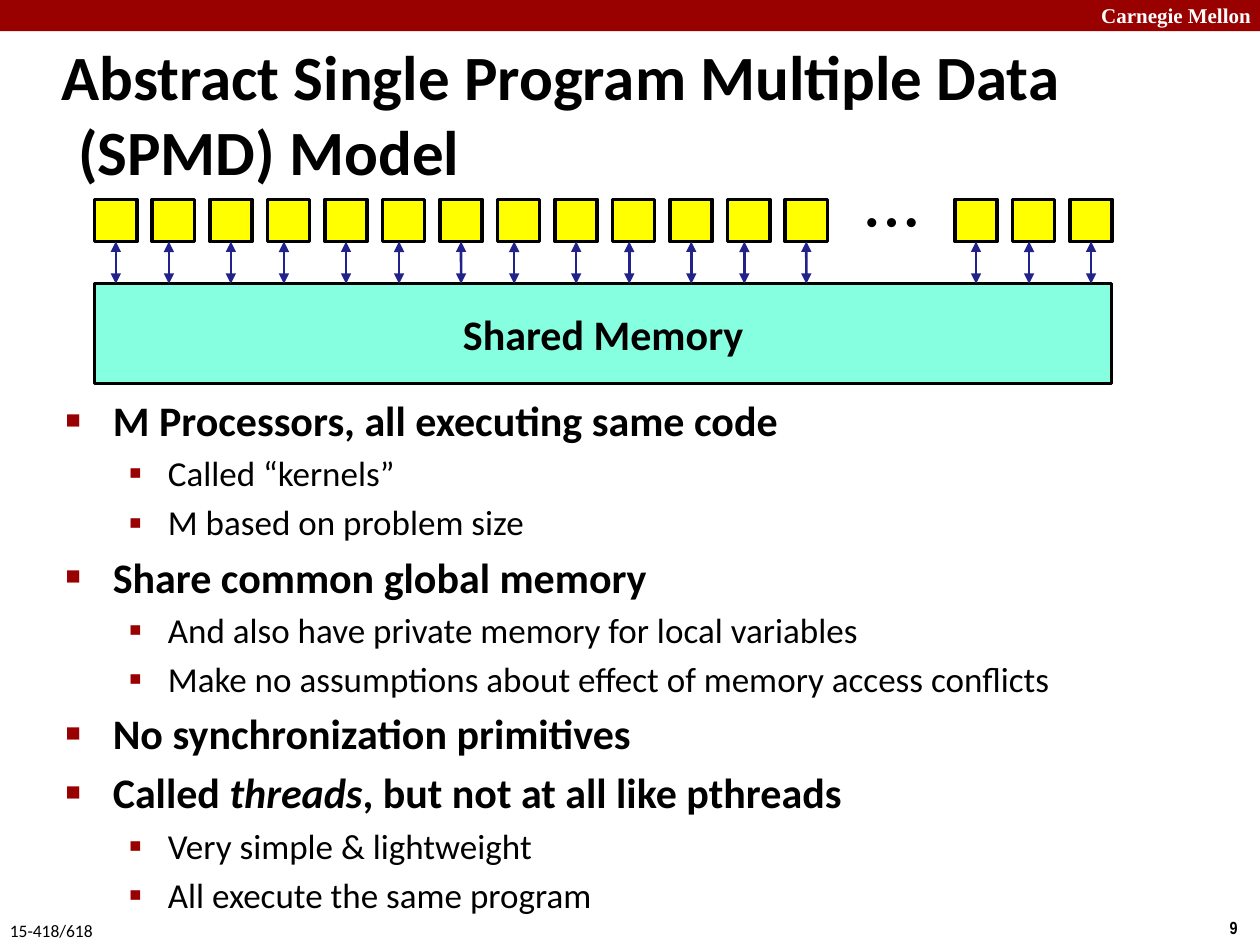
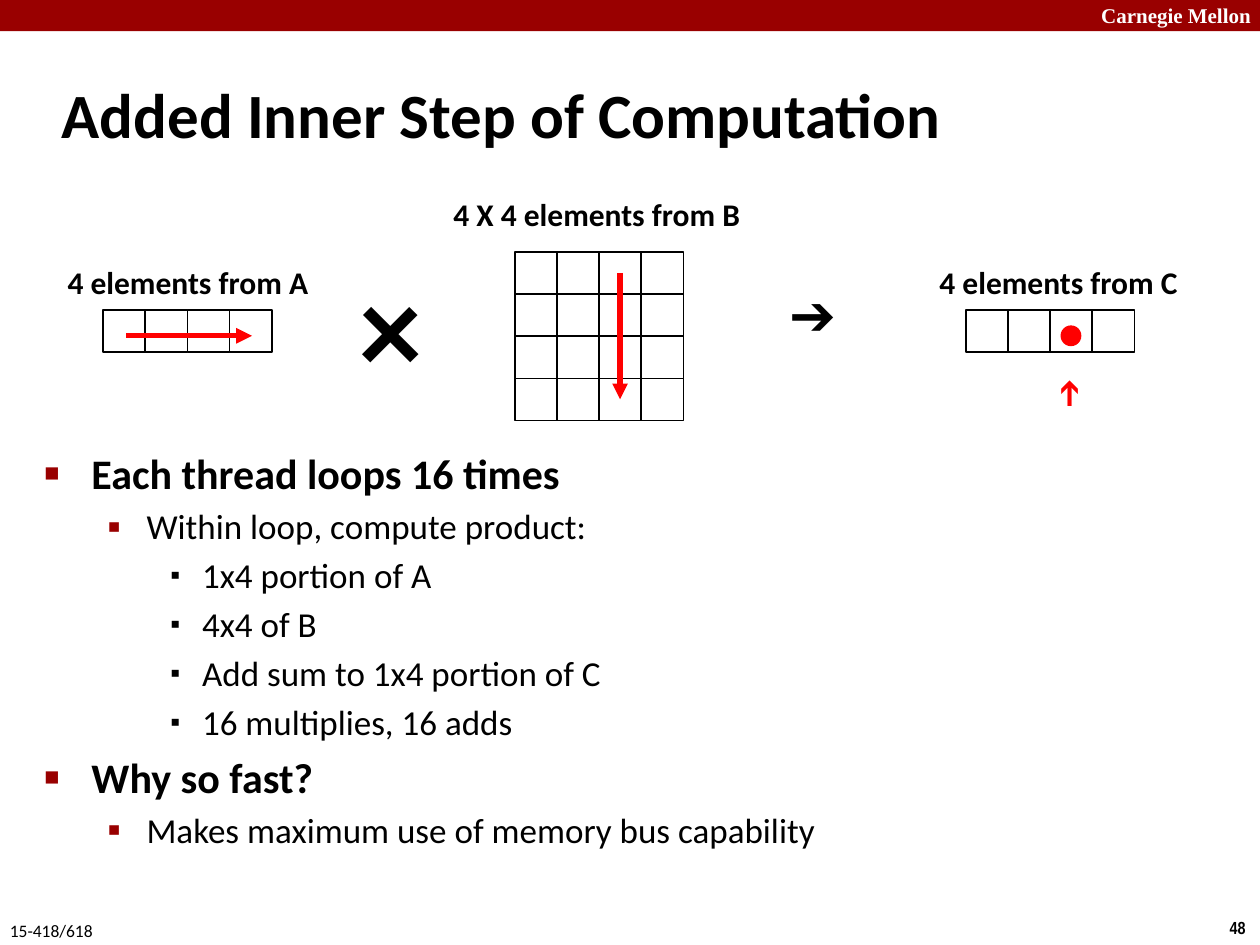
from lxml import etree
from pptx import Presentation
from pptx.dml.color import RGBColor
from pptx.enum.shapes import MSO_CONNECTOR, MSO_SHAPE
from pptx.enum.text import MSO_ANCHOR, MSO_AUTO_SIZE, PP_ALIGN
from pptx.oxml.ns import qn
from pptx.util import Cm, Pt

RED = RGBColor(0x99, 0x00, 0x00)
BRIGHT = RGBColor(0xFF, 0x00, 0x00)
BLACK = RGBColor(0x00, 0x00, 0x00)
WHITE = RGBColor(0xFF, 0xFF, 0xFF)
YELLOW = RGBColor(0xFF, 0xFF, 0x00)
MINT = RGBColor(0x85, 0xFF, 0xE0)
NAVY = RGBColor(0x22, 0x22, 0x8B)
RECT = MSO_SHAPE.RECTANGLE
OVAL = MSO_SHAPE.OVAL
LINE = MSO_CONNECTOR.STRAIGHT
LEFT = PP_ALIGN.LEFT
MID = PP_ALIGN.CENTER
TOP = MSO_ANCHOR.TOP
CORE = MSO_ANCHOR.MIDDLE
FIXED = MSO_AUTO_SIZE.NONE
SANS = "Calibri"

LEVELS = [
    (0.95, -0.95, "■", 60, RED, 24, True),
    (2.06, -0.79, "▪", 110, RED, 20, False),
    (3.18, -0.64, "▪", 80, BLACK, 20, False),
]

PAGES = [
    ("Abstract Single Program Multiple Data (SPMD) Model", "9",
     (1.07, 7.82, 21.95, 9.35), [
         (0, "M Processors, all executing same code"),
         (1, "Called “kernels”"),
         (1, "M based on problem size"),
         (0, "Share common global memory"),
         (1, "And also have private memory for local variables"),
         (1, "Make no assumptions about effect of memory access conflicts"),
         (0, "No synchronization primitives"),
         (0, "Called *threads*, but not at all like pthreads"),
         (1, "Very simple & lightweight"),
         (1, "All execute the same program"),
     ]),
    ("Added Inner Step of Computation", "48",
     (0.64, 8.89, 23.93, 8.71), [
         (0, "Each thread loops 16 times"),
         (1, "Within loop, compute product:"),
         (2, "1x4 portion of A"),
         (2, "4x4 of B"),
         (2, "Add sum to 1x4 portion of C"),
         (2, "16 multiplies, 16 adds"),
         (0, "Why so fast?"),
         (1, "Makes maximum use of memory bus capability"),
     ]),
]


def draw(page, kind, x, y, w, h, fill, edge=None):
    shape = page.shapes.add_shape(kind, Cm(x), Cm(y), Cm(w), Cm(h))
    shape.shadow.inherit = False
    shape.fill.solid()
    shape.fill.fore_color.rgb = fill
    if edge:
        shape.line.color.rgb = BLACK
        shape.line.width = Pt(edge)
    else:
        shape.line.fill.background()
    return shape


def write(shape, text, size, face=SANS, tint=BLACK, bold=True, align=LEFT, anchor=TOP):
    frame = shape.text_frame
    frame.text = text
    frame.auto_size = FIXED
    frame.vertical_anchor = anchor
    par = frame.paragraphs[0]
    par.alignment = align
    font = par.runs[0].font
    font.size, font.name, font.bold = Pt(size), face, bold
    font.color.rgb = tint
    return par


deck = Presentation()
deck.slide_width = Cm(25.4)
deck.slide_height = Cm(19.05)

slides = []
notes = []
for title, number, area, items in PAGES:
    page = deck.slides.add_slide(deck.slide_layouts[1])
    slides.append(page)
    draw(page, RECT, 0, 0, 25.4, 0.63, RED)
    notes += [
        (page, "Carnegie Mellon", 21.95, -0.08, 3.63, 0.76, 12, "Times New Roman", WHITE, True),
        (page, number, 24.54, 18.36, 0.86, 0.69, 10, "Arial Narrow", BLACK, True),
        (page, "15-418/618", -0.05, 18.42, 2.21, 0.69, 10, SANS, BLACK, False),
    ]

    head = page.shapes.title
    head.left, head.top, head.width, head.height = Cm(0.99), Cm(1.22), Cm(21.08), Cm(2.11)
    par = write(head, title, 36, anchor=CORE)
    prop = par._p.get_or_add_pPr()
    prop.set("marL", str(Cm(0.33)))
    prop.set("indent", str(Cm(-0.33)))

    body = page.placeholders[1]
    body.left, body.top, body.width, body.height = [Cm(v) for v in area]
    frame = body.text_frame
    frame.auto_size = FIXED
    for n, (level, text) in enumerate(items):
        par = frame.add_paragraph() if n else frame.paragraphs[0]
        par.level = level
        if n == 0:
            par.space_before = Pt(0)
        margin, indent, mark, scale, tint, size, bold = LEVELS[level]
        prop = par._p.get_or_add_pPr()
        prop.set("marL", str(Cm(margin)))
        prop.set("indent", str(Cm(indent)))
        color = etree.SubElement(prop, qn("a:buClr"))
        etree.SubElement(color, qn("a:srgbClr")).set("val", str(tint))
        etree.SubElement(prop, qn("a:buSzPct")).set("val", str(scale * 1000))
        etree.SubElement(prop, qn("a:buFont")).set("typeface", "Arial")
        etree.SubElement(prop, qn("a:buChar")).set("char", mark)
        for k, part in enumerate(text.split("*")):
            run = par.add_run()
            run.text = part
            run.font.size, run.font.name, run.font.bold = Pt(size), SANS, bold
            run.font.italic = k % 2 == 1
            run.font.color.rgb = BLACK

model, step = slides
SIDE = 0.85
PITCH = 1.16
arrows = []
for start, count in [(1.91, 13), (19.25, 3)]:
    for n in range(count):
        x = start + n * PITCH
        cell = draw(model, RECT, x, 4.02, SIDE, SIDE, YELLOW, 2)
        mid = x + SIDE / 2
        if n % 2:
            arrows.append((model, mid - 0.09, 4.87, mid - 0.09, 5.72, NAVY, 1.5, True, None))
        else:
            arrows.append((model, mid, 4.87, mid, 5.72, NAVY, 1.5, True, cell))
store = draw(model, RECT, 1.91, 5.72, 20.5, 2.01, MINT, 2)
write(store, "Shared Memory", 24, align=MID, anchor=CORE)

for left, top, rows in [(2.08, 6.25, 1), (10.38, 5.08, 4), (19.47, 6.25, 1)]:
    for row in range(rows):
        for col in range(4):
            draw(step, RECT, left + col * SIDE, top + row * SIDE, SIDE, SIDE, WHITE, 1)
draw(step, OVAL, 21.38, 6.56, 0.42, 0.42, BRIGHT)
arrows += [
    (step, 2.54, 6.77, 5.08, 6.77, BRIGHT, 3, False, None),
    (step, 12.5, 5.5, 12.5, 8.05, BRIGHT, 3, False, None),
]

notes += [
    (model, "• • •", 16.69, 4.02, 2.57, 0.85, 18, "Arial", BLACK, True, MID, CORE),
    (step, "4 elements from A", 1.07, 5.18, 5.44, 1.02, 18, SANS, BLACK, True, MID),
    (step, "4 X 4 elements from B", 8.89, 3.81, 6.38, 1.02, 18),
    (step, "4 elements from C", 18.62, 5.18, 5.44, 1.02, 18, SANS, BLACK, True, MID),
    (step, "×", 6.98, 4.88, 1.78, 3.33, 72, SANS, BLACK, True, MID),
    (step, "➔", 15.67, 5.51, 1.73, 1.63, 32, "Arial"),
    (step, "➔", 20.88, 7.29, 1.27, 1.12, 20, "Arial", BRIGHT),
]
for page, text, x, y, w, h, *look in notes:
    box = page.shapes.add_textbox(Cm(x), Cm(y), Cm(w), Cm(h))
    write(box, text, *look)
    box.text_frame.word_wrap = False
box.rotation = 270

for page, x1, y1, x2, y2, tint, width, double, cell in arrows:
    link = page.shapes.add_connector(LINE, Cm(x1), Cm(y1), Cm(x2), Cm(y2))
    if cell:
        link.begin_connect(cell, 2)
    link.line.color.rgb = tint
    link.line.width = Pt(width)
    edge = link.line._get_or_add_ln()
    for end in ["a:headEnd", "a:tailEnd"] if double else ["a:tailEnd"]:
        etree.SubElement(edge, qn(end)).set("type", "triangle")
    etree.SubElement(link._element.spPr, qn("a:effectLst"))

deck.save("out.pptx")
